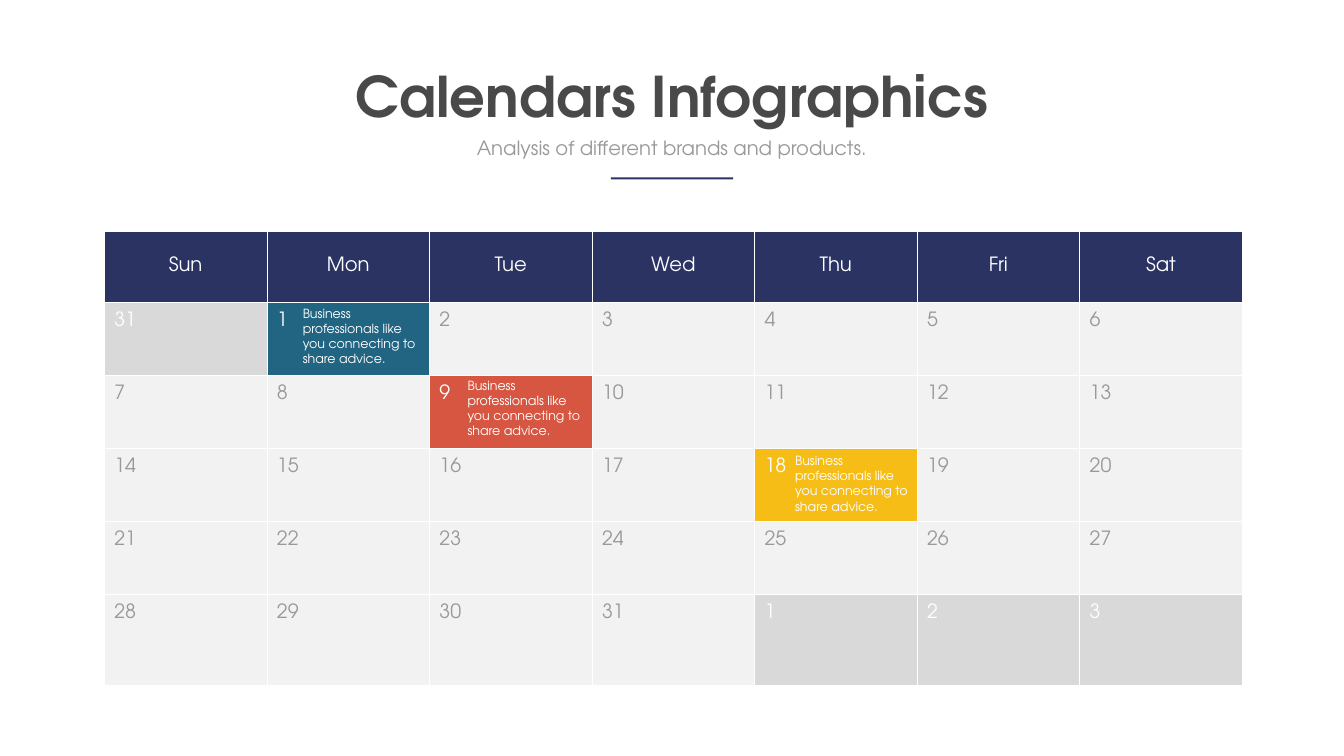
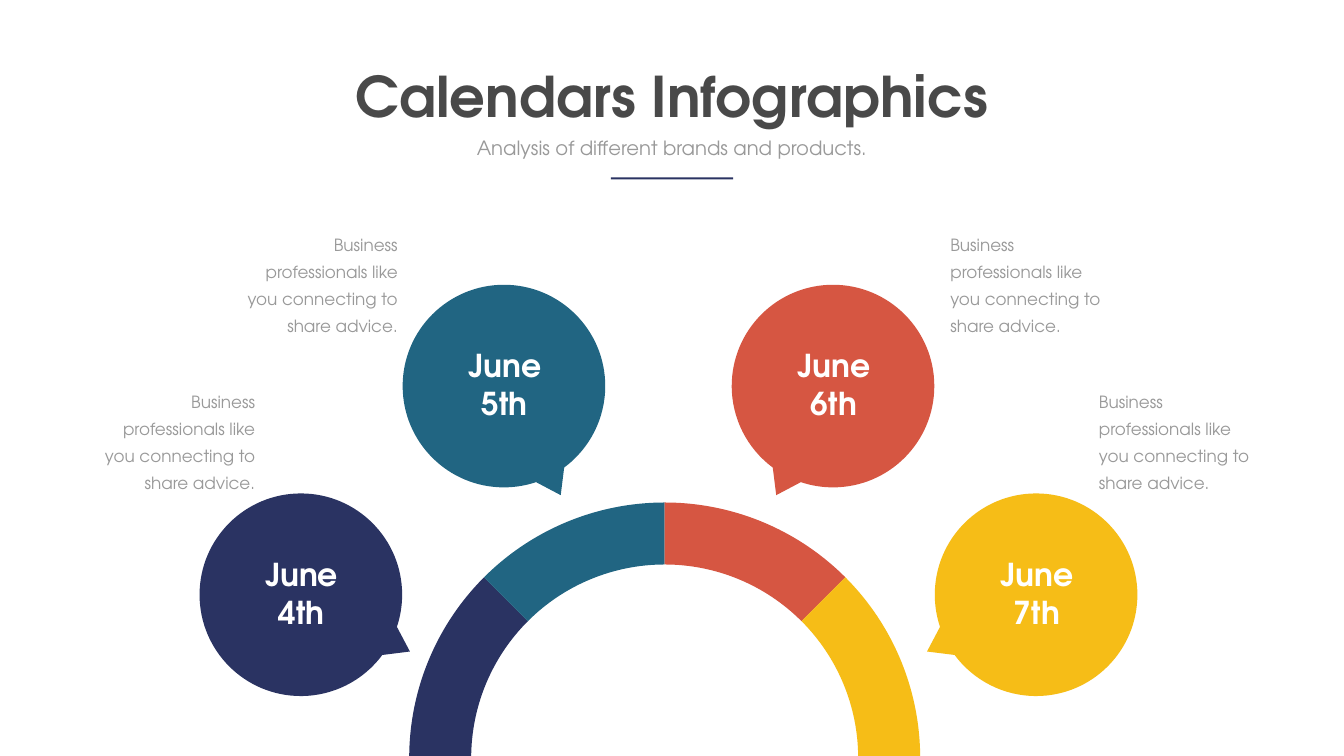
from math import cos, radians, sin, tan

from lxml import etree
from pptx import Presentation
from pptx.dml.color import RGBColor
from pptx.enum.shapes import MSO_SHAPE
from pptx.enum.text import MSO_ANCHOR, MSO_AUTO_SIZE, PP_ALIGN
from pptx.oxml.ns import qn
from pptx.util import Inches, Pt

LEFT, CENTER, RIGHT = PP_ALIGN.LEFT, PP_ALIGN.CENTER, PP_ALIGN.RIGHT
MIDDLE, TOP = MSO_ANCHOR.MIDDLE, MSO_ANCHOR.TOP
FIT_TEXT = MSO_AUTO_SIZE.SHAPE_TO_FIT_TEXT
RECTANGLE = MSO_SHAPE.RECTANGLE

FONT = "TeX Gyre Adventor"
NAVY, TEAL, RED, YELLOW = "2A3362", "216582", "D65642", "F6BD17"
DARK, GRAY, WHITE = "494949", "999999", "FFFFFF"
DAY_FILL, OTHER_MONTH_FILL = "F2F2F2", "D9D9D9"
ADVICE = "Business professionals like you connecting to share advice."


def paint(item, color):
    """Give a shape a plain fill without line or shadow, or colour a font."""
    if hasattr(item, "line"):
        item.fill.solid()
        item.fill.fore_color.rgb = RGBColor.from_string(color)
        item.line.fill.background()
        item.shadow.inherit = False
    else:
        item.color.rgb = RGBColor.from_string(color)


def add_text(page, area, text, size, color, align=LEFT, bold=False, wrap=True, spacing=None):
    box = page.shapes.add_textbox(*[Inches(length) for length in area])
    frame = box.text_frame
    frame.word_wrap = wrap
    frame.auto_size = FIT_TEXT
    frame.text = text
    for para in frame.paragraphs:
        para.alignment = align
        if spacing:
            para.line_spacing = Pt(spacing)
        for span in para.runs:
            span.font.name = FONT
            span.font.size = Pt(size)
            span.font.bold = bold
            paint(span.font, color)


deck = Presentation()
deck.slide_width, deck.slide_height = Inches(26.67), Inches(15)

# Heading shared by both slides
pages = [deck.slides.add_slide(deck.slide_layouts[6]) for _ in range(2)]
for page in pages:
    add_text(page, (6.89, 1.17, 12.89, 1.45), "Calendars Infographics", 80, DARK,
             CENTER, bold=True, wrap=False)
    add_text(page, (8.55, 2.65, 9.56, 0.57), "Analysis of different brands and products.",
             28, GRAY, CENTER)
    rule = page.shapes.add_shape(RECTANGLE, Inches(12.12), Inches(3.52), Inches(2.43), Inches(0.04))
    paint(rule, NAVY)
calendar_page, timeline_page = pages

# Month calendar
weekdays = ["Sun", "Mon", "Tue", "Wed", "Thu", "Fri", "Sat"]
days = [31, *range(1, 32), 1, 2, 3]
event_fills = {1: TEAL, 9: RED, 18: YELLOW}
row_heights = [1.41, 1.45, 1.45, 1.45, 1.45, 1.8]

frame = calendar_page.shapes.add_table(6, 7, Inches(2.07), Inches(4.58), Inches(22.58), Inches(9.01))
calendar = frame.table
calendar.first_row = calendar.horz_banding = False
for row, height in zip(calendar.rows, row_heights):
    row.height = Inches(height)

for index, cell in enumerate(calendar.iter_cells()):
    position = index - 7
    if position < 0:
        text, fill, color = weekdays[index], NAVY, WHITE
        margins, anchor, align = (0.14, 0.07, 0.14, 0.07), MIDDLE, CENTER
    else:
        text = str(days[position])
        if 1 <= position <= 31:
            fill = event_fills.get(position, DAY_FILL)
        else:
            fill = OTHER_MONTH_FILL
        color = GRAY if fill == DAY_FILL else WHITE
        margins, anchor, align = (0.2, 0.2, 0.1, 0.05), TOP, LEFT

    cell.text = text
    cell.vertical_anchor = anchor
    cell.margin_left, cell.margin_top, cell.margin_right, cell.margin_bottom = map(Inches, margins)
    para = cell.text_frame.paragraphs[0]
    para.alignment = align
    font = para.runs[0].font
    font.name, font.size = FONT, Pt(28)
    paint(font, color)

    properties = cell._tc.get_or_add_tcPr()
    for side in ("a:lnL", "a:lnR", "a:lnT", "a:lnB"):
        border = etree.SubElement(properties, qn(side), w=str(Pt(1)))
        solid = etree.SubElement(border, qn("a:solidFill"))
        etree.SubElement(solid, qn("a:srgbClr"), val=WHITE)
    cell.fill.solid()
    cell.fill.fore_color.rgb = RGBColor.from_string(fill)

for left, top in [(5.91, 6.02), (9.18, 7.45), (15.68, 8.94)]:
    add_text(calendar_page, (left, top, 2.46, 1.31), ADVICE, 18, WHITE)

# Half ring of four dates, each with a speech bubble and a note
ring_x, ring_y, outer_radius, inner_radius = 13.19, 15.04, 5.07, 3.84
bubble_radius, tip_radius, tail_half_angle = 2.01, 2.44, 9
events = [  # date, colour, bubble centre, tail angle, note position, note alignment
    ("4th", NAVY, (5.97, 11.8), 27.5, (1.97, 7.59), RIGHT),
    ("5th", TEAL, (10, 7.66), 62.5, (4.8, 4.47), RIGHT),
    ("6th", RED, (16.53, 7.66), 117.5, (18.76, 4.47), LEFT),
    ("7th", YELLOW, (20.56, 11.8), 152.5, (21.71, 7.59), LEFT),
]
for index, (date, color, (x, y), tail, note_corner, note_align) in enumerate(events):
    start = 180 + 45 * index
    segment = [(outer_radius, start), (outer_radius, start + 45),
               (inner_radius, start + 45), (inner_radius, start)]

    first, last = tail + tail_half_angle, tail + 360 - tail_half_angle
    quarters = [angle for angle in range(0, 720, 90) if first < angle < last]
    bubble = [(tip_radius, tail)]
    bubble += [(bubble_radius, angle) for angle in (first, *quarters, last)]

    for center_x, center_y, outline in [(ring_x, ring_y, segment), (x, y, bubble)]:
        points = [(Inches(center_x + radius * cos(radians(angle))),
                   Inches(center_y + radius * sin(radians(angle)))) for radius, angle in outline]
        builder = timeline_page.shapes.build_freeform(*points[0])
        builder.add_line_segments(points[1:], close=True)
        shape = builder.convert_to_shape()
        paint(shape, color)

        # Sides between points of equal radius become circular curves
        sides = list(shape._element.iter(qn("a:lnTo")))
        for side, (radius, begin), (end_radius, end) in zip(sides, outline, outline[1:]):
            if radius != end_radius:
                continue
            side.tag = qn("a:cubicBezTo")
            reach = 4 / 3 * tan(radians(end - begin) / 4)
            for order, (angle, pull) in enumerate([(begin, reach), (end, -reach)]):
                turn = radians(angle)
                handle_x = Inches(center_x + radius * (cos(turn) - pull * sin(turn)))
                handle_y = Inches(center_y + radius * (sin(turn) + pull * cos(turn)))
                handle = etree.Element(qn("a:pt"), x=str(handle_x - shape.left),
                                       y=str(handle_y - shape.top))
                side.insert(order, handle)

    add_text(timeline_page, (x - 1.34, y - 0.84, 2.71, 1.62), f"June\n{date}", 45, WHITE,
             CENTER, bold=True)
    add_text(timeline_page, (*note_corner, 3.19, 2.23), ADVICE, 24, GRAY, note_align, spacing=38.6)

deck.save("out.pptx")
